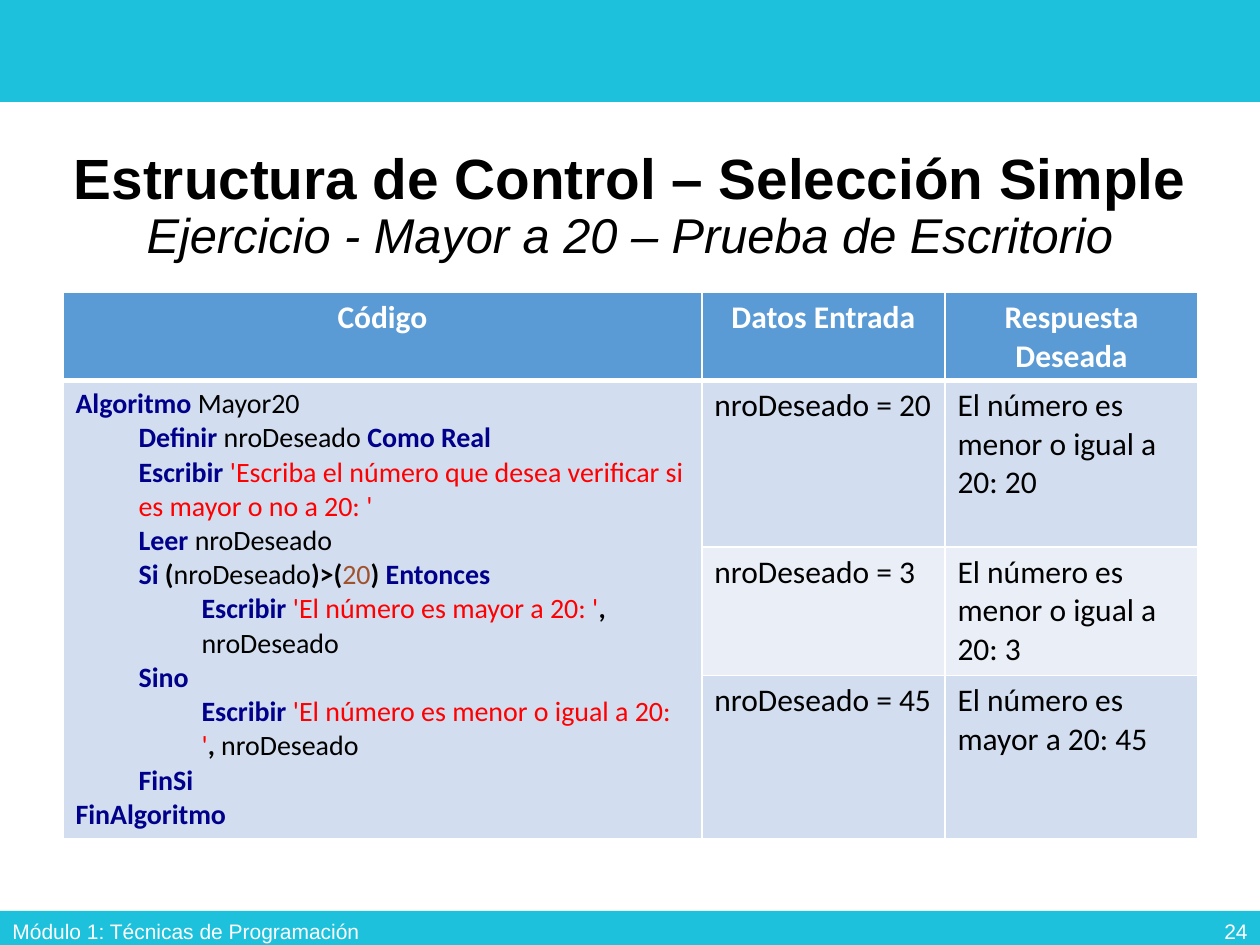
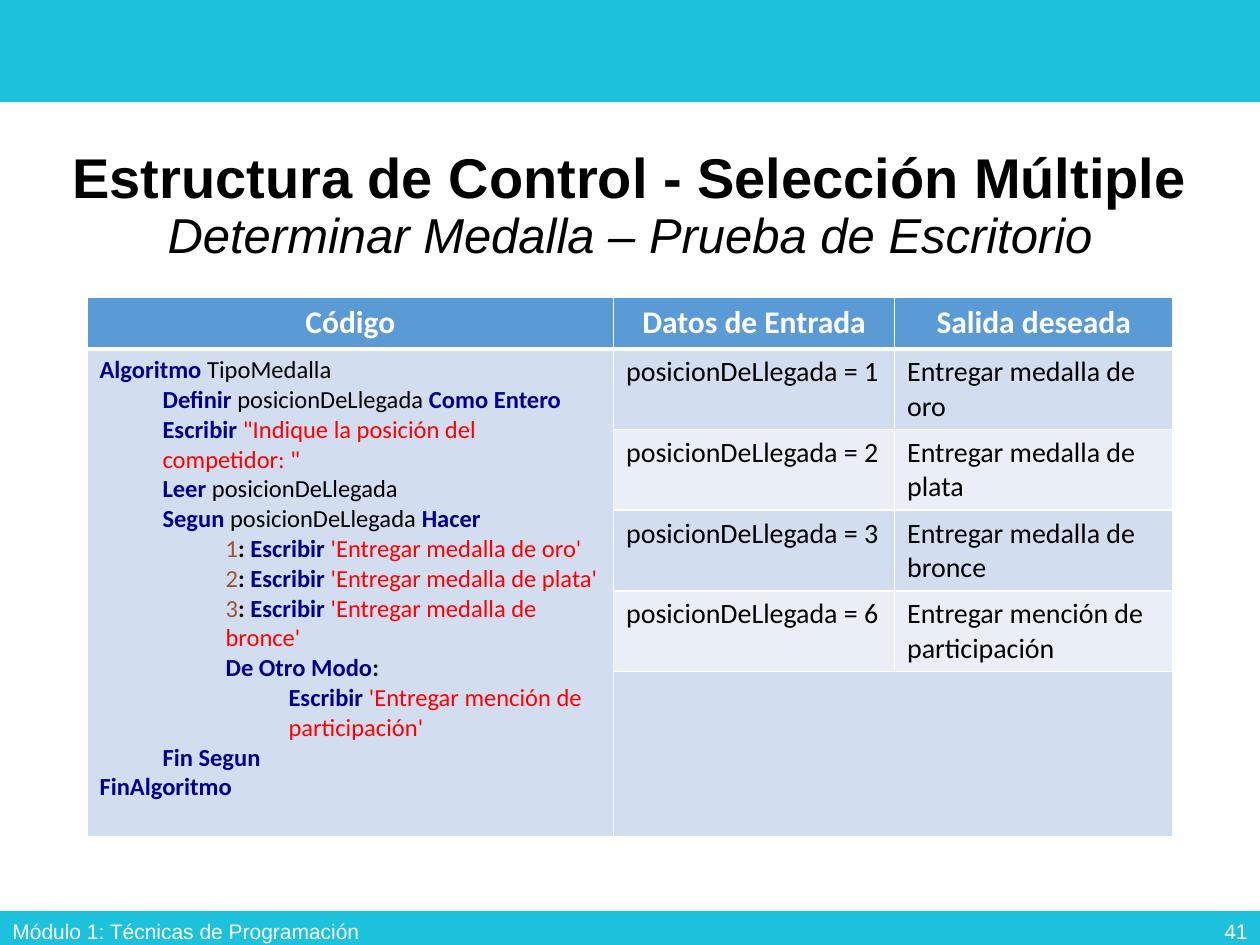
from lxml import etree
from pptx import Presentation
from pptx.dml.color import RGBColor
from pptx.enum.shapes import MSO_SHAPE
from pptx.enum.text import MSO_ANCHOR, PP_ALIGN
from pptx.oxml.ns import qn
from pptx.util import Inches, Pt

RECTANGLE = MSO_SHAPE.RECTANGLE
MIDDLE = MSO_ANCHOR.MIDDLE
LEFT, CENTER, RIGHT = PP_ALIGN.LEFT, PP_ALIGN.CENTER, PP_ALIGN.RIGHT

rgb = RGBColor.from_string
BAND, HEADER = "1DC1DC", "5B9BD5"
ROW_FILLS = ["D2DEEF", "EAEFF7"]
WHITE, BLACK = "FFFFFF", "000000"
FOOTER = "Módulo 1: Técnicas de Programación"
INDENT = 0.5

# Run formats of the code listings
KEYWORD = dict(color="00008B", bold=True)
PLAIN = dict(color=BLACK)
STRING = dict(color="FF0000")
NUMBER = dict(color="A0522D")
SYMBOL = dict(color=BLACK, bold=True)

SLIDES = [
    dict(
        title="Estructura de Control – Selección Simple", title_size=32.4,
        subtitle="Ejercicio - Mayor a 20 – Prueba de Escritorio", subtitle_size=27.9,
        number="24",
        at=(0.5, 2.32), columns=[5.07, 1.93, 2.01], heights=[0.7, 1.32, 1.02, 1.3],
        headers=["Código", "Datos Entrada", "Respuesta Deseada"],
        code_size=16, case_size=18,
        code=[
            (0, [("Algoritmo", KEYWORD), (" Mayor20", PLAIN)]),
            (1, [("Definir ", KEYWORD), ("nroDeseado ", PLAIN), ("Como Real", KEYWORD)]),
            (1, [("Escribir ", KEYWORD),
                 ("'Escriba el número que desea verificar si es mayor o no a 20: '", STRING)]),
            (1, [("Leer ", KEYWORD), ("nroDeseado", PLAIN)]),
            (1, [("Si ", KEYWORD), ("(", SYMBOL), ("nroDeseado", PLAIN), (")>(", SYMBOL),
                 ("20", NUMBER), (") ", SYMBOL), ("Entonces", KEYWORD)]),
            (2, [("Escribir ", KEYWORD), ("'El número es mayor a 20: '", STRING),
                 (", ", SYMBOL), ("nroDeseado", PLAIN)]),
            (1, [("Sino", KEYWORD)]),
            (2, [("Escribir ", KEYWORD), ("'El número es menor o igual a 20: '", STRING),
                 (", ", SYMBOL), ("nroDeseado", PLAIN)]),
            (1, [("FinSi", KEYWORD)]),
            (0, [("FinAlgoritmo", KEYWORD)]),
        ],
        cases=[
            ("nroDeseado = 20", "El número es menor o igual a 20: 20"),
            ("nroDeseado = 3", "El número es menor o igual a 20: 3"),
            ("nroDeseado = 45", "El número es mayor a 20: 45"),
        ],
    ),
    dict(
        title="Estructura de Control - Selección Múltiple", title_size=32,
        subtitle="Determinar Medalla – Prueba de Escritorio", subtitle_size=28,
        number="41",
        at=(0.69, 2.36), columns=[4.18, 2.23, 2.21], heights=[0.41] + [0.64] * 4 + [1.31],
        headers=["Código", "Datos de Entrada", "Salida deseada"],
        code_size=14, case_size=16,
        code=[
            (0, [("Algoritmo ", KEYWORD), ("TipoMedalla", PLAIN)]),
            (1, [("Definir ", KEYWORD), ("posicionDeLlegada ", PLAIN), ("Como Entero", KEYWORD)]),
            (1, [("Escribir ", KEYWORD), ('"Indique la posición del competidor: "', STRING)]),
            (1, [("Leer ", KEYWORD), ("posicionDeLlegada", PLAIN)]),
            (1, [("Segun ", KEYWORD), ("posicionDeLlegada ", PLAIN), ("Hacer", KEYWORD)]),
            *[(2, [(place, NUMBER), (": ", SYMBOL), ("Escribir ", KEYWORD),
                   (f"'Entregar medalla de {metal}'", STRING)])
              for place, metal in [("1", "oro"), ("2", "plata"), ("3", "bronce")]],
            (2, [("De Otro Modo", KEYWORD), (":", SYMBOL)]),
            (3, [("Escribir ", KEYWORD), ("'Entregar mención de participación'", STRING)]),
            (1, [("Fin Segun", KEYWORD)]),
            (0, [("FinAlgoritmo", KEYWORD)]),
        ],
        cases=[
            ("posicionDeLlegada = 1", "Entregar medalla de oro"),
            ("posicionDeLlegada = 2", "Entregar medalla de plata"),
            ("posicionDeLlegada = 3", "Entregar medalla de bronce"),
            ("posicionDeLlegada = 6", "Entregar mención de participación"),
            ("", ""),
        ],
    ),
]


def write(paragraph, text, size=18, font="Calibri", color=BLACK, bold=False, italic=False,
          align=LEFT):
    """Append one formatted run to the paragraph."""
    paragraph.alignment = align
    run = paragraph.add_run()
    run.text = text
    run.font.size = Pt(size)
    run.font.name = font
    run.font.bold = bold
    run.font.italic = italic
    run.font.color.rgb = rgb(color)


def add_text_area(slide, left, top, width, height):
    """Add a wrapped, vertically centred text box and return its first paragraph."""
    frame = slide.shapes.add_textbox(
        Inches(left), Inches(top), Inches(width), Inches(height)).text_frame
    frame.word_wrap = True
    frame.vertical_anchor = MIDDLE
    return frame.paragraphs[0]


prs = Presentation()
prs.slide_width, prs.slide_height = Inches(10), Inches(7.5)

for content in SLIDES:
    slide = prs.slides.add_slide(prs.slide_layouts[6])

    for top, height in [(0, 0.81), (7.23, 0.31)]:
        band = slide.shapes.add_shape(RECTANGLE, 0, Inches(top), Inches(10), Inches(height))
        band.shadow.inherit = False
        band.fill.solid()
        band.fill.fore_color.rgb = rgb(BAND)
        band.line.fill.background()

    heading = add_text_area(slide, 0, 0.98, 10, 1.33)
    heading.line_spacing = 0.9
    write(heading, content["title"], size=content["title_size"], font="Arial", bold=True,
          align=CENTER)
    heading.add_line_break()
    write(heading, content["subtitle"], size=content["subtitle_size"], font="Arial", italic=True,
          align=CENTER)

    write(add_text_area(slide, 0, 7.19, 3.38, 0.4), FOOTER, size=12, font="Arial", color=WHITE)
    write(add_text_area(slide, 7.75, 7.19, 2.25, 0.4), content["number"], size=12, font="Arial",
          color=WHITE, align=RIGHT)

    # Desk-check table: the code beside its test cases
    columns, heights = content["columns"], content["heights"]
    left, top = content["at"]
    table = slide.shapes.add_table(
        len(heights), len(columns), Inches(left), Inches(top),
        Inches(sum(columns)), Inches(sum(heights))).table
    for column, width in zip(table.columns, columns):
        column.width = Inches(width)
    for row, height in zip(table.rows, heights):
        row.height = Inches(height)

    for r in range(len(heights)):
        for c in range(len(columns)):
            cell = table.cell(r, c)
            properties = cell._tc.get_or_add_tcPr()
            for side in ("lnL", "lnR", "lnT", "lnB"):
                under_header = (r, side) in [(0, "lnB"), (1, "lnT")]
                border = etree.SubElement(properties, qn(f"a:{side}"),
                                          w=str(Pt(3 if under_header else 1)))
                line_fill = etree.SubElement(border, qn("a:solidFill"))
                etree.SubElement(line_fill, qn("a:srgbClr"), val=WHITE)
            if r == 0:
                fill = HEADER
            elif c == 0:
                fill = ROW_FILLS[0]
            else:
                fill = ROW_FILLS[(r - 1) % 2]
            cell.fill.solid()
            cell.fill.fore_color.rgb = rgb(fill)

    for c, header in enumerate(content["headers"]):
        write(table.cell(0, c).text_frame.paragraphs[0], header, color=WHITE, bold=True,
              align=CENTER)

    code_cell = table.cell(1, 0)
    code_cell.merge(table.cell(len(heights) - 1, 0))
    for i, (level, runs) in enumerate(content["code"]):
        frame = code_cell.text_frame
        line = frame.add_paragraph() if i else frame.paragraphs[0]
        line.level = level
        indents = line._p.get_or_add_pPr()
        indents.set("marL", str(Inches(INDENT * level)))
        indents.set("indent", "0")
        for text, style in runs:
            write(line, text, size=content["code_size"], **style)

    for r, case in enumerate(content["cases"], start=1):
        if not any(case):
            table.cell(r, 1).merge(table.cell(r, 2))
            continue
        for c, text in enumerate(case, start=1):
            write(table.cell(r, c).text_frame.paragraphs[0], text, size=content["case_size"])

prs.save("out.pptx")
